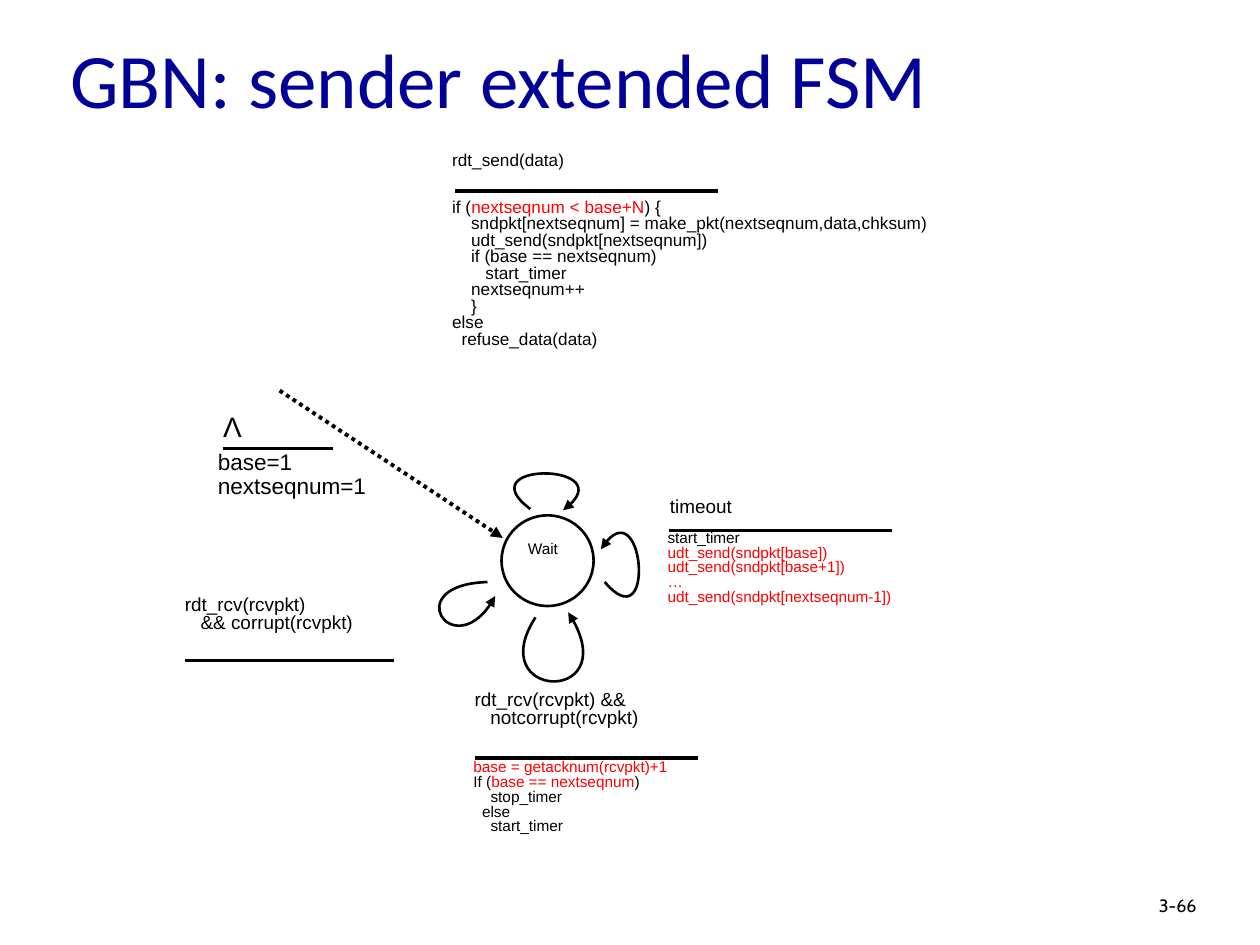
from lxml.etree import SubElement
from pptx import Presentation
from pptx.dml.color import RGBColor
from pptx.enum.dml import MSO_LINE
from pptx.enum.shapes import MSO_CONNECTOR, MSO_SHAPE
from pptx.enum.text import MSO_ANCHOR, MSO_AUTO_SIZE, PP_ALIGN
from pptx.oxml.ns import qn
from pptx.util import Pt

COLORS = {"title": "000099", "ink": "000000", "new": "FF0000", "paper": "FFFFFF"}
SPACE_WIDTH = 0.278  # width of an Arial space, in ems

TITLE = "GBN: sender extended FSM"

# Box (left, top, width, height), lines, format.
# A line is text or (indent in spaces, text); text between bars is red.
LABELS = [
    ((655.2, 509, 53.3, 21.6), ["3-66"],
     {"size": 10.2, "font": "Cabin", "spacing": 0.9}),
    ((278.6, 306.7, 63.4, 18.7), ["Wait"], {"size": 8.8, "align": PP_ALIGN.CENTER}),
    ((251.3, 84.2, 183.6, 20.2), ["rdt_send(data)"], {"size": 9.8}),
    ((251.3, 110.9, 434.9, 115.2), [
        "if (|nextseqnum < base+N|) {",
        (4, "sndpkt[nextseqnum] = make_pkt(nextseqnum,data,chksum)"),
        (4, "udt_send(sndpkt[nextseqnum])"),
        (4, "if (base == nextseqnum)"),
        (7, "start_timer"),
        (4, "nextseqnum++"),
        (4, "}"),
        "else",
        (2, "refuse_data(data)"),
    ], {"size": 9.8}),
    ((375.8, 281.5, 86.4, 21.6), ["timeout"], {"size": 10.8}),
    ((374.4, 300.2, 218.9, 65.5), [
        "start_timer",
        "|udt_send(sndpkt[base])|",
        "|udt_send(sndpkt[base+1])|",
        "|…|",
        "|udt_send(sndpkt[nextseqnum-1])|",
    ], {"size": 8.8}),
    ((264.2, 391.7, 223.2, 35.3),
     ["rdt_rcv(rcvpkt) &&", (3, "notcorrupt(rcvpkt)")], {"size": 10.8}),
    ((263.5, 431.3, 290.2, 65.5), [
        "|base = getacknum(rcvpkt)+1|",
        "If (|base == nextseqnum|)",
        (4, "stop_timer"),
        (2, "else"),
        (4, "start_timer"),
    ], {"size": 8.8}),
    ((98.6, 337.7, 161.3, 35.3),
     ["rdt_rcv(rcvpkt)", (3, "&& corrupt(rcvpkt)")], {"size": 10.8}),
    ((120.2, 230.4, 25.2, 26.6), ["Λ"],
     {"size": 16, "align": PP_ALIGN.CENTER, "spacing": 1.0, "wrap": False}),
    ((117.4, 254.2, 116.6, 39.6), ["base=1", "nextseqnum=1"],
     {"size": 12.9, "spacing": 0.9}),
]

# Rules between event and action: left, right, y, line width
RULES = [
    (259.9, 410.4, 109.4, 2.25),
    (382.3, 509.8, 303.1, 1.5),
    (271.4, 398.9, 433.4, 2.25),
    (127.4, 190.1, 256.3, 1.5),
    (105.8, 225.4, 377.3, 1.5),
]

# Self-transitions: start, two control points, end
LOOPS = {
    "send": [(303.1, 290.9), (267.1, 264.2), (358.6, 264.2), (321.8, 291.6)],
    "timeout": [(345.6, 332.6), (374.4, 366.5), (367.9, 275.8), (343.4, 313.9)],
    "acknowledge": [(306, 352.8), (275.8, 399.6), (359.3, 403.2), (324.7, 349.9)],
    "corrupt": [(278.6, 332.6), (228.2, 334.1), (260.6, 382.3), (283, 340.6)],
}
WAIT_STATE = (286.6, 294.5, 52.6, 51.8)
INITIAL_ARROW = ((159.8, 223.2), (287.3, 307.4))


def color(name):
    return RGBColor.from_string(COLORS[name])


def write_text(frame, lines, size, font="Arial", ink="ink", spacing=0.8,
               align=PP_ALIGN.LEFT, wrap=True):
    frame.word_wrap = wrap
    for index, line in enumerate(lines):
        indent, text = (0, line) if isinstance(line, str) else line
        paragraph = frame.paragraphs[0] if index == 0 else frame.add_paragraph()
        paragraph.alignment = align
        paragraph.line_spacing = spacing
        if indent:
            margin = Pt(indent * SPACE_WIDTH * size)
            paragraph._p.get_or_add_pPr().set("marL", str(int(margin)))
        for part, piece in enumerate(text.split("|")):
            if piece:
                run = paragraph.add_run()
                run.text = piece
                run.font.size = Pt(size)
                run.font.name = font
                run.font.color.rgb = color("new" if part % 2 else ink)


def style_line(shape, width, arrow=False):
    shape.line.color.rgb = color("ink")
    shape.line.width = Pt(width)
    if arrow:
        SubElement(shape.line._get_or_add_ln(), qn("a:tailEnd"), type="triangle")


def add_line(slide, start, end, width, arrow=False):
    connector = slide.shapes.add_connector(
        MSO_CONNECTOR.STRAIGHT, *map(Pt, start + end))
    style_line(connector, width, arrow)
    SubElement(connector._element.spPr, qn("a:effectLst"))
    return connector


def add_loop(slide, points):
    """Draw one cubic curve by merging three segments into a Bézier element."""
    start, *others = [(Pt(x), Pt(y)) for x, y in points]
    builder = slide.shapes.build_freeform(*start)
    builder.add_line_segments(others, close=False)
    shape = builder.convert_to_shape()
    outline = next(shape._element.iter(qn("a:path")))
    segments = outline.findall(qn("a:lnTo"))
    curve = SubElement(outline, qn("a:cubicBezTo"))
    for segment in segments:
        curve.append(segment[0])
        outline.remove(segment)
    shape.fill.background()
    style_line(shape, 1.5, arrow=True)
    shape.shadow.inherit = False


def add_title(slide):
    title = slide.shapes.title
    title.left, title.top, title.width, title.height = map(Pt, (35.3, 16.6, 612, 55.4))
    frame = title.text_frame
    frame.auto_size = MSO_AUTO_SIZE.NONE
    frame.vertical_anchor = MSO_ANCHOR.MIDDLE
    frame.margin_left = Pt(5)
    frame.margin_right = frame.margin_top = frame.margin_bottom = 0
    write_text(frame, [TITLE], size=44, font="Calibri", ink="title", spacing=1.0)


def main():
    presentation = Presentation()
    presentation.slide_width, presentation.slide_height = Pt(720), Pt(540)
    slide = presentation.slides.add_slide(presentation.slide_layouts[5])
    add_title(slide)

    state = slide.shapes.add_shape(MSO_SHAPE.OVAL, *map(Pt, WAIT_STATE))
    state.fill.solid()
    state.fill.fore_color.rgb = color("paper")
    style_line(state, 1.5)
    state.shadow.inherit = False

    arrow = add_line(slide, *INITIAL_ARROW, width=2.25, arrow=True)
    arrow.line.dash_style = MSO_LINE.ROUND_DOT
    for left, right, y, width in RULES:
        add_line(slide, (left, y), (right, y), width)
    for points in LOOPS.values():
        add_loop(slide, points)
    for box, lines, style in LABELS:
        label = slide.shapes.add_textbox(*map(Pt, box))
        write_text(label.text_frame, lines, **style)

    presentation.save("out.pptx")


if __name__ == "__main__":
    main()
